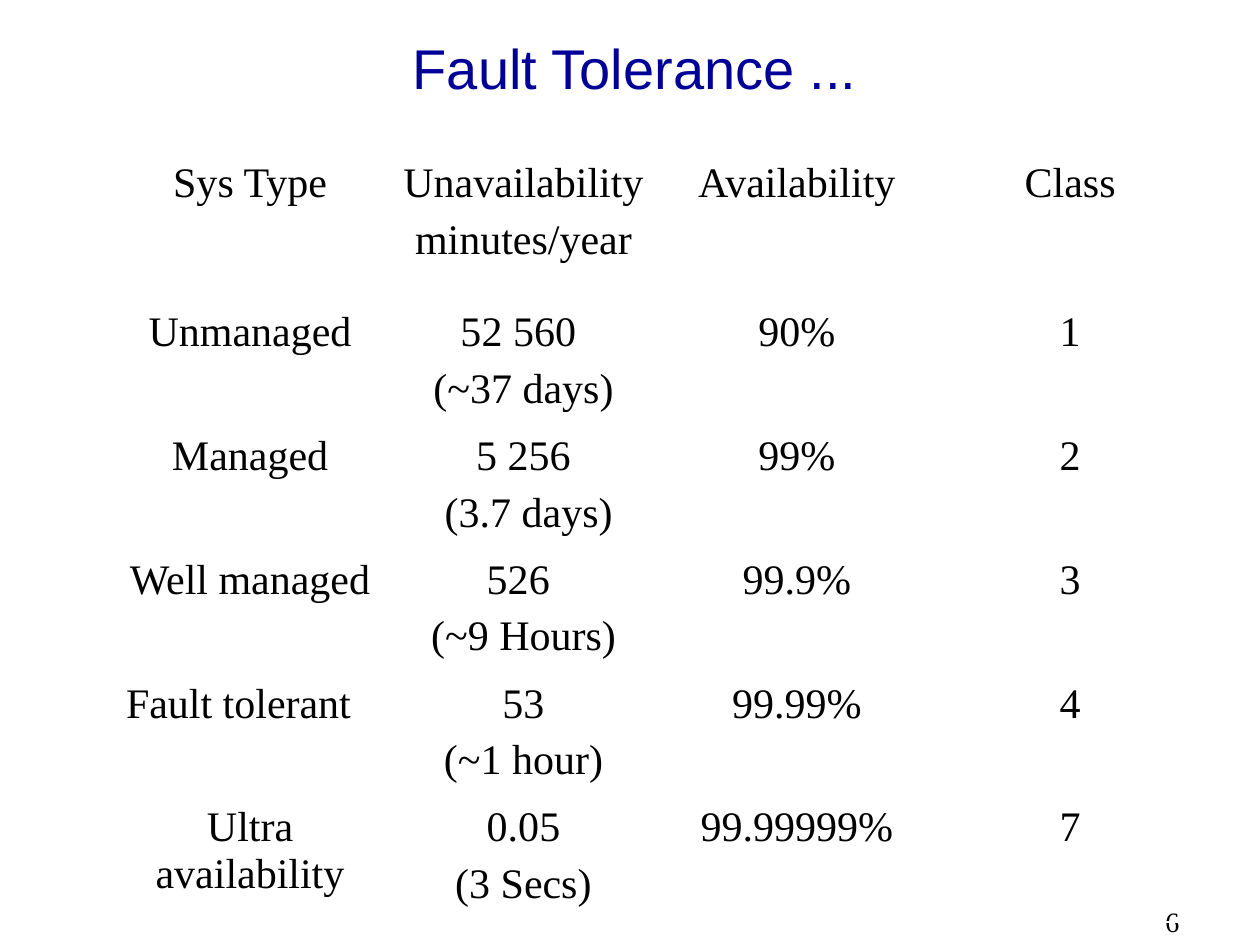
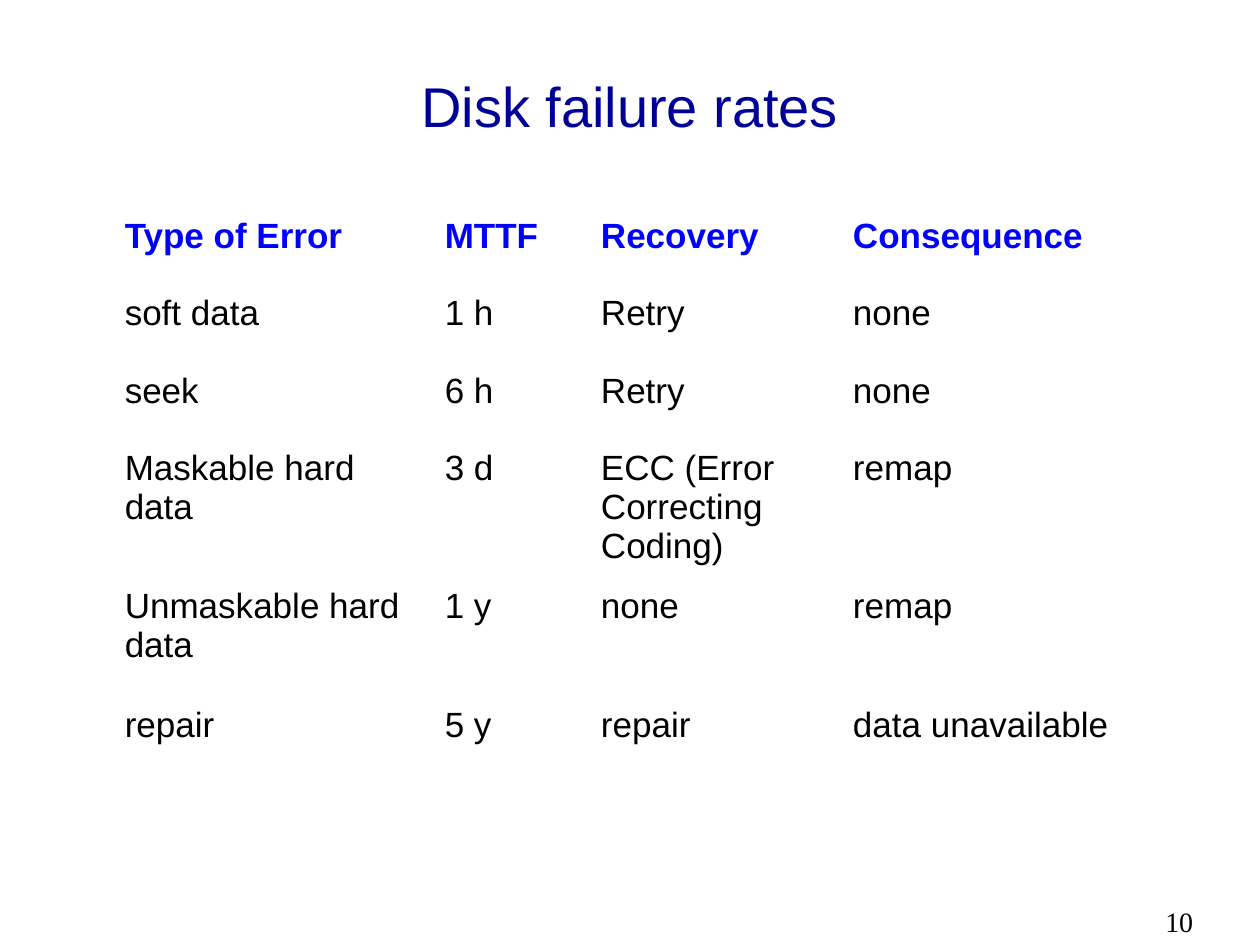
from dataclasses import dataclass

from lxml import etree
from pptx import Presentation
from pptx.dml.color import RGBColor
from pptx.enum.text import MSO_ANCHOR, PP_ALIGN
from pptx.oxml.ns import qn
from pptx.util import Emu, Pt

# Shared scale, fonts and colours
EMU_PER_PX = 9144  # 100 px to the inch
LEFT, CENTER = PP_ALIGN.LEFT, PP_ALIGN.CENTER
TOP, MIDDLE = MSO_ANCHOR.TOP, MSO_ANCHOR.MIDDLE
SANS, SERIF = "Arial", "Times New Roman"
BLACK = RGBColor(0x00, 0x00, 0x00)
WHITE = RGBColor(0xFF, 0xFF, 0xFF)
NAVY = RGBColor(0x00, 0x00, 0x99)
BLUE = RGBColor(0x00, 0x00, 0xFF)
INNER_LINE, OUTER_LINE = Pt(0.45), Pt(1.08)


@dataclass(frozen=True)
class Frame:
    left: int
    top: int
    width: int
    height: int


@dataclass(frozen=True)
class TextStyle:
    font: str
    size: int
    color: RGBColor
    align: PP_ALIGN = LEFT
    bold: bool = False
    gap: int = 0  # points between paragraphs


@dataclass(frozen=True)
class TableDesign:
    left: int
    top: int
    columns: list[int]
    rows: list[int]
    header: TextStyle
    body: TextStyle
    cells: list[list[str]]  # a line break starts a new paragraph


@dataclass(frozen=True)
class PageDesign:
    title: str
    title_frame: Frame
    number: int
    table: TableDesign


TITLE = TextStyle(SANS, 32, NAVY, CENTER)
NUMBER = TextStyle(SERIF, 16, BLACK)
NUMBER_FRAME = Frame(915, 713, 85, 37)
SERIF_CELL = TextStyle(SERIF, 24, BLACK, CENTER, gap=6)
SANS_HEADER = TextStyle(SANS, 20, BLUE, bold=True)
SANS_CELL = TextStyle(SANS, 20, BLACK)

# Content of the two pages
AVAILABILITY = TableDesign(
    90, 122, [217] * 4, [118] + [98] * 5, SERIF_CELL, SERIF_CELL,
    [
        ["Sys Type", "Unavailability\nminutes/year", "Availability", "Class"],
        ["Unmanaged", "52 560 \n(~37 days)", "90%", "1"],
        ["Managed", "5 256\n (3.7 days)", "99%", "2"],
        ["Well managed", "526 \n(~9 Hours)", "99.9%", "3"],
        ["Fault tolerant\t", "53\n(~1 hour)", "99.99%", "4"],
        ["Ultra availability", "0.05\n(3 Secs)", "99.99999%", "7"],
    ],
)
FAILURES = TableDesign(
    89, 167, [254, 124, 200, 267], [61, 62, 61, 110, 94, 65], SANS_HEADER, SANS_CELL,
    [
        ["Type of Error", "MTTF", "Recovery", "Consequence"],
        ["soft data", "1 h", "Retry", "none"],
        ["seek", "6 h", "Retry", "none"],
        ["Maskable hard data", "3 d", "ECC (Error Correcting Coding)", "remap"],
        ["Unmaskable hard data", "1 y", "none", "remap"],
        ["repair", "5 y", "repair", "data unavailable"],
    ],
)
PAGES = [
    PageDesign("Fault Tolerance ...", Frame(79, 19, 850, 69), 6, AVAILABILITY),
    PageDesign("Disk failure rates", Frame(75, 49, 850, 69), 10, FAILURES),
]


def px(length: int) -> Emu:
    return Emu(length * EMU_PER_PX)


def write(text_frame, text: str, style: TextStyle) -> None:
    for index, line in enumerate(text.split("\n")):
        para = text_frame.add_paragraph() if index else text_frame.paragraphs[0]
        para.alignment = style.align
        if index:
            para.space_before = Pt(style.gap)
        span = para.add_run()
        span.text = line
        span.font.name = style.font
        span.font.size = Pt(style.size)
        span.font.bold = style.bold
        span.font.color.rgb = style.color


def add_text(page, frame: Frame, text: str, style: TextStyle, anchor: MSO_ANCHOR) -> None:
    box = page.shapes.add_textbox(
        px(frame.left), px(frame.top), px(frame.width), px(frame.height)
    )
    box.text_frame.word_wrap = True
    box.text_frame.vertical_anchor = anchor
    write(box.text_frame, text, style)


def set_borders(cell, outer_sides: dict[str, bool]) -> None:
    properties = cell._tc.get_or_add_tcPr()
    for side, is_outer in outer_sides.items():
        width = OUTER_LINE if is_outer else INNER_LINE
        line = etree.SubElement(properties, qn(f"a:ln{side}"), w=str(int(width)))
        fill = etree.SubElement(line, qn("a:solidFill"))
        etree.SubElement(fill, qn("a:srgbClr"), val=str(WHITE))


def add_table(page, design: TableDesign) -> None:
    last_row, last_column = len(design.rows) - 1, len(design.columns) - 1
    table = page.shapes.add_table(
        len(design.rows), len(design.columns), px(design.left), px(design.top),
        px(sum(design.columns)), px(sum(design.rows)),
    ).table
    table.first_row = table.horz_banding = False
    for column, width in zip(table.columns, design.columns):
        column.width = px(width)
    for r, (row, height) in enumerate(zip(table.rows, design.rows)):
        row.height = px(height)
        style = design.body if r else design.header
        for c, text in enumerate(design.cells[r]):
            cell = table.cell(r, c)
            set_borders(cell, {
                "L": c == 0, "R": c == last_column, "T": r == 0, "B": r == last_row,
            })
            cell.fill.background()
            write(cell.text_frame, text, style)


def main() -> None:
    deck = Presentation()
    deck.slide_width, deck.slide_height = px(1000), px(750)
    blank = deck.slide_layouts[6]
    for design in PAGES:
        page = deck.slides.add_slide(blank)
        add_text(page, NUMBER_FRAME, str(design.number), NUMBER, TOP)
        add_text(page, design.title_frame, design.title, TITLE, MIDDLE)
        add_table(page, design.table)
    deck.save("out.pptx")


if __name__ == "__main__":
    main()
